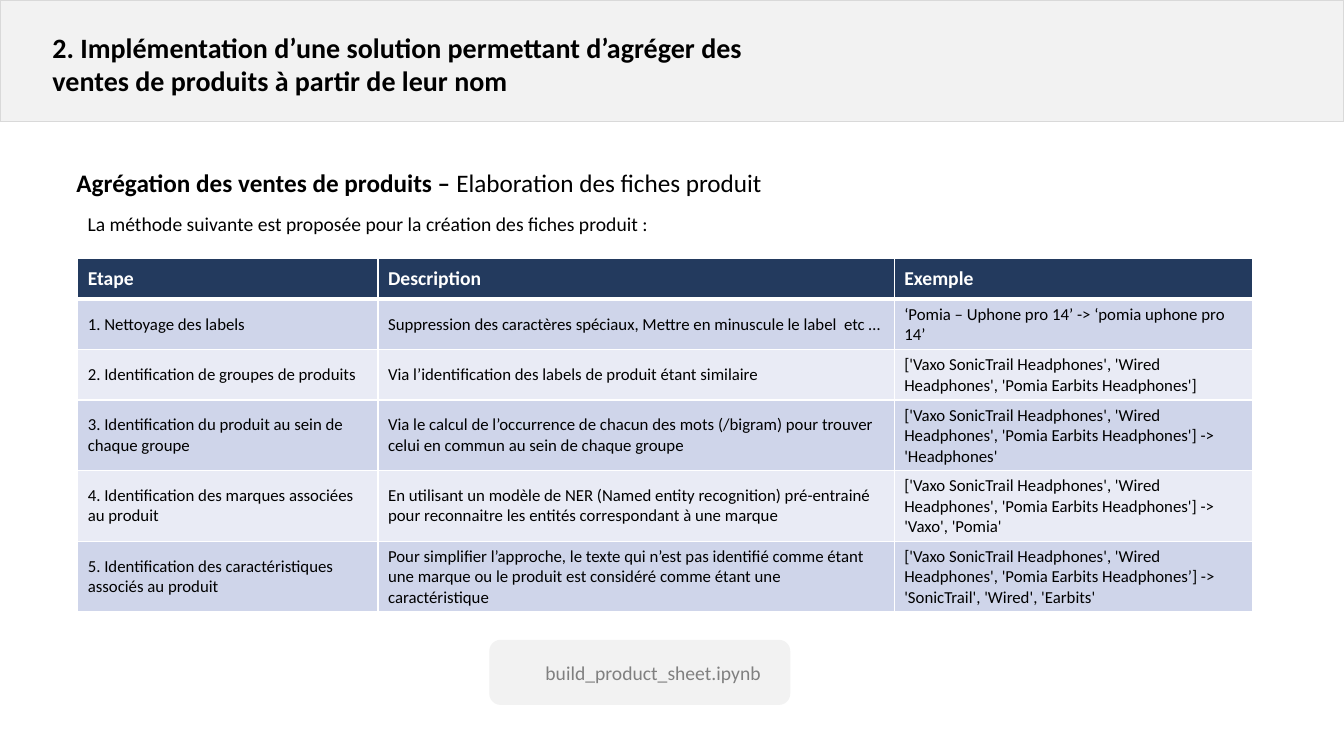
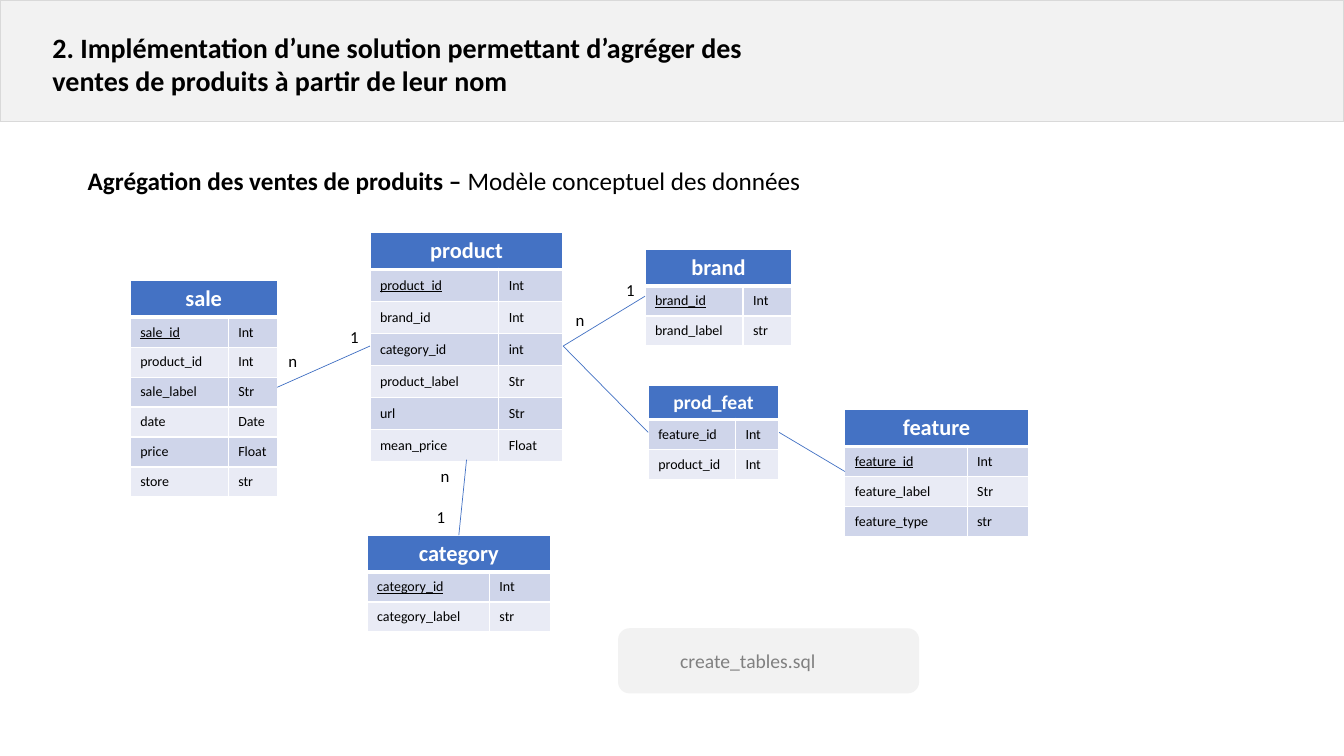
import pptx
import pptx.dml.color
import pptx.enum.shapes
import pptx.enum.text
import pptx.oxml
import pptx.oxml.ns
import pptx.util

Pt = pptx.util.Pt
SHAPES = pptx.enum.shapes.MSO_SHAPE
ALIGN = pptx.enum.text.PP_ALIGN
ANCHOR = pptx.enum.text.MSO_ANCHOR
NAMESPACE = pptx.oxml.ns.nsdecls("a")


def color(hex_string):
    return pptx.dml.color.RGBColor.from_string(hex_string)


class Deck:
    FONT = "Calibri"
    BLACK, WHITE, GREY = "000000", "FFFFFF", "808080"
    PALE, EDGE = "F2F2F2", "D9D9D9"
    NAVY, BLUE = "233A5E", "4472C4"
    BANDS = ("CFD5EA", "E9EBF5")
    TITLE = ("2. Implémentation d’une solution permettant d’agréger des "
             "ventes de produits à partir de leur nom")

    def __init__(self):
        self.presentation = pptx.Presentation()
        self.presentation.slide_width = Pt(960)
        self.presentation.slide_height = Pt(540)
        self.slide = None

    def new_slide(self):
        layout = self.presentation.slide_layouts.get_by_name("Title Only")
        self.slide = self.presentation.slides.add_slide(layout)
        band = self.box(SHAPES.RECTANGLE, 0, 0, 960, 87, self.PALE, self.EDGE)
        title = self.slide.shapes.title
        title.element.addprevious(band.element)
        title.left, title.top, title.width, title.height = Pt(30.24), Pt(18), Pt(565), Pt(55.5)
        title.text_frame.text = self.TITLE
        title.text_frame.word_wrap = True
        title.text_frame.auto_size = pptx.enum.text.MSO_AUTO_SIZE.NONE
        title.text_frame.vertical_anchor = ANCHOR.TOP
        self.format(title.text_frame.paragraphs[0], 20, self.BLACK, bold=True)

    def format(self, paragraph, size, text_color, bold=False, align=ALIGN.LEFT):
        paragraph.alignment = align
        for run in paragraph.runs:
            run.font.name = self.FONT
            run.font.size = Pt(size)
            run.font.bold = bold
            run.font.color.rgb = color(text_color)

    def box(self, kind, left, top, width, height, fill, line):
        shape = self.slide.shapes.add_shape(kind, Pt(left), Pt(top), Pt(width), Pt(height))
        shape.shadow.inherit = False
        shape.fill.solid()
        shape.fill.fore_color.rgb = color(fill)
        shape.line.color.rgb = color(line)
        shape.line.width = Pt(1)
        return shape

    def text(self, left, top, width, height, content, size, text_color=BLACK, align=ALIGN.LEFT):
        shape = self.slide.shapes.add_textbox(Pt(left), Pt(top), Pt(width), Pt(height))
        shape.text_frame.word_wrap = True
        shape.text_frame.text = content
        paragraph = shape.text_frame.paragraphs[0]
        self.format(paragraph, size, text_color, align=align)
        return paragraph

    def heading(self, left, top, topic):
        paragraph = self.text(left, top, 600, 29, "Agrégation des ventes de produits – ", 18)
        paragraph.add_run().text = topic
        self.format(paragraph, 18, self.BLACK)
        paragraph.runs[0].font.bold = True

    def file_badge(self, left, top, text_left, name):
        self.box(SHAPES.ROUNDED_RECTANGLE, left, top, 214, 45.5, self.PALE, self.PALE)
        self.text(text_left, top + 11, 226, 24.5, name, 14, self.GREY)

    def borders(self, cell, top, bottom):
        properties = cell._tc.get_or_add_tcPr()
        widths = {"lnL": 1, "lnR": 1, "lnT": top, "lnB": bottom}
        for index, (tag, width) in enumerate(widths.items()):
            properties.insert(index, pptx.oxml.parse_xml(
                f'<a:{tag} {NAMESPACE} w="{Pt(width)}"><a:solidFill>'
                f'<a:srgbClr val="{self.WHITE}"/></a:solidFill></a:{tag}>'))

    def table(self, left, top, columns, row_heights, rows, header_fill, header_size, body_size,
              header_align=ALIGN.LEFT):
        frame = self.slide.shapes.add_table(
            len(rows), len(columns), Pt(left), Pt(top), Pt(sum(columns)), Pt(sum(row_heights)))
        table = frame.table
        table.first_row = table.horz_banding = False
        for column, width in zip(table.columns, columns):
            column.width = Pt(width)
        for index, (height, values) in enumerate(zip(row_heights, rows)):
            header = index == 0
            table.rows[index].height = Pt(height)
            for cell, value in zip(table.rows[index].cells, values):
                cell.text_frame.text = value
                cell.vertical_anchor = ANCHOR.MIDDLE
                cell.fill.solid()
                cell.fill.fore_color.rgb = color(header_fill if header else self.BANDS[(index - 1) % 2])
                self.borders(cell, 3 if index == 1 else 1, 3 if header else 1)
                self.format(cell.text_frame.paragraphs[0],
                            header_size if header else body_size,
                            self.WHITE if header else self.BLACK, header,
                            header_align if header else ALIGN.LEFT)
        return frame

    def entity(self, left, top, width, name, fields, header=24.4, row=21.4, size=16, key=True):
        columns = (width * 2 / 3, width / 3)
        heights = [header] + [row] * len(fields)
        frame = self.table(left, top, columns, heights, [(name, ""), *fields],
                           self.BLUE, size, 10, ALIGN.CENTER)
        frame.table.cell(0, 0).merge(frame.table.cell(0, 1))
        if key:
            frame.table.cell(1, 0).text_frame.paragraphs[0].runs[0].font.underline = True
        return frame

    def relation(self, start, start_side, end, end_side):
        sides = {"left": (0, 0.5), "right": (1, 0.5), "top": (0.5, 0), "bottom": (0.5, 1)}
        points = []
        for frame, side in ((start, start_side), (end, end_side)):
            across, down = sides[side]
            points += [int(frame.left + across * frame.width), int(frame.top + down * frame.height)]
        connector = self.slide.shapes.add_connector(
            pptx.enum.shapes.MSO_CONNECTOR.STRAIGHT, *points)
        connector.line.color.rgb = color(self.BLUE)
        connector.line.width = Pt(0.5)
        connector.element.spPr.append(pptx.oxml.parse_xml(f"<a:effectLst {NAMESPACE}/>"))


deck = Deck()

deck.new_slide()
deck.heading(47.5, 116, "Elaboration des fiches produit")
deck.text(55.5, 147.5, 549, 24.5,
          "La méthode suivante est proposée pour la création des fiches produit : ", 14)
PRODUCTS = "['Vaxo SonicTrail Headphones', 'Wired Headphones', 'Pomia Earbits Headphones"
STEPS = [
    ("Etape", "Description", "Exemple"),
    ("1. Nettoyage des labels ",
     "Suppression des caractères spéciaux, Mettre en minuscule le label  etc …",
     "‘Pomia – Uphone pro 14’ -> ‘pomia uphone pro 14’ "),
    ("2. Identification de groupes de produits",
     "Via l’identification des labels de produit étant similaire",
     PRODUCTS + "']"),
    ("3. Identification du produit au sein de chaque groupe",
     "Via le calcul de l’occurrence de chacun des mots (/bigram) pour trouver "
     "celui en commun au sein de chaque groupe ",
     PRODUCTS + "'] -> 'Headphones'"),
    ("4. Identification des marques associées au produit ",
     "En utilisant un modèle de NER (Named entity recognition) pré-entrainé "
     "pour reconnaitre les entités correspondant à une marque",
     PRODUCTS + "'] -> 'Vaxo', 'Pomia'"),
    ("5. Identification des caractéristiques associés au produit ",
     "Pour simplifier l’approche, le texte qui n’est pas identifié comme étant "
     "une marque ou le produit est considéré comme étant une caractéristique",
     PRODUCTS + "’] -> 'SonicTrail', 'Wired', 'Earbits'"),
]
deck.table(55.5, 184.5, (214.5, 368.75, 256.25), [29.2] * len(STEPS), STEPS, deck.NAVY, 14, 12)
deck.file_badge(350, 457.5, 382.5, "build_product_sheet.ipynb")

deck.new_slide()
deck.heading(55.5, 114.5, "Modèle conceptuel des données")
product = deck.entity(264.25, 166, 138, "product", [
    ("product_id", "Int"), ("brand_id", "Int"), ("category_id", "int"),
    ("product_label", "Str"), ("url", "Str"), ("mean_price", "Float")], header=25, row=22.9)
sale = deck.entity(93, 200.25, 105, "sale", [
    ("sale_id", "Int"), ("product_id", "Int"), ("sale_label", "Str"),
    ("date", "Date"), ("price", "Float"), ("store", "str")])
brand = deck.entity(460.75, 178, 105, "brand", [("brand_id", "Int"), ("brand_label", "str")])
feature = deck.entity(603.5, 292.5, 131, "feature", [
    ("feature_id", "Int"), ("feature_label", "Str"), ("feature_type", "str")])
category = deck.entity(262.25, 382.25, 131, "category", [
    ("category_id", "Int"), ("category_label", "str")])
product_feature = deck.entity(463, 275.25, 93.5, "prod_feat", [
    ("feature_id", "Int"), ("product_id", "Int")], size=14, key=False)

for link in (
    (sale, "right", product, "left"),
    (product, "right", brand, "left"),
    (product, "right", product_feature, "left"),
    (product_feature, "right", feature, "left"),
    (product, "bottom", category, "top"),
):
    deck.relation(*link)

for cardinality, left, top in (
    ("1", 235.5, 229.75), ("n", 191.5, 247), ("n", 396.75, 217.5),
    ("1", 432.75, 196.5), ("n", 300.25, 329), ("1", 297.25, 358.5),
):
    deck.text(left, top, 35.25, 21.75, cardinality, 12, align=ALIGN.CENTER)
deck.file_badge(442, 449.25, 478.75, "create_tables.sql")

deck.presentation.save("out.pptx")
